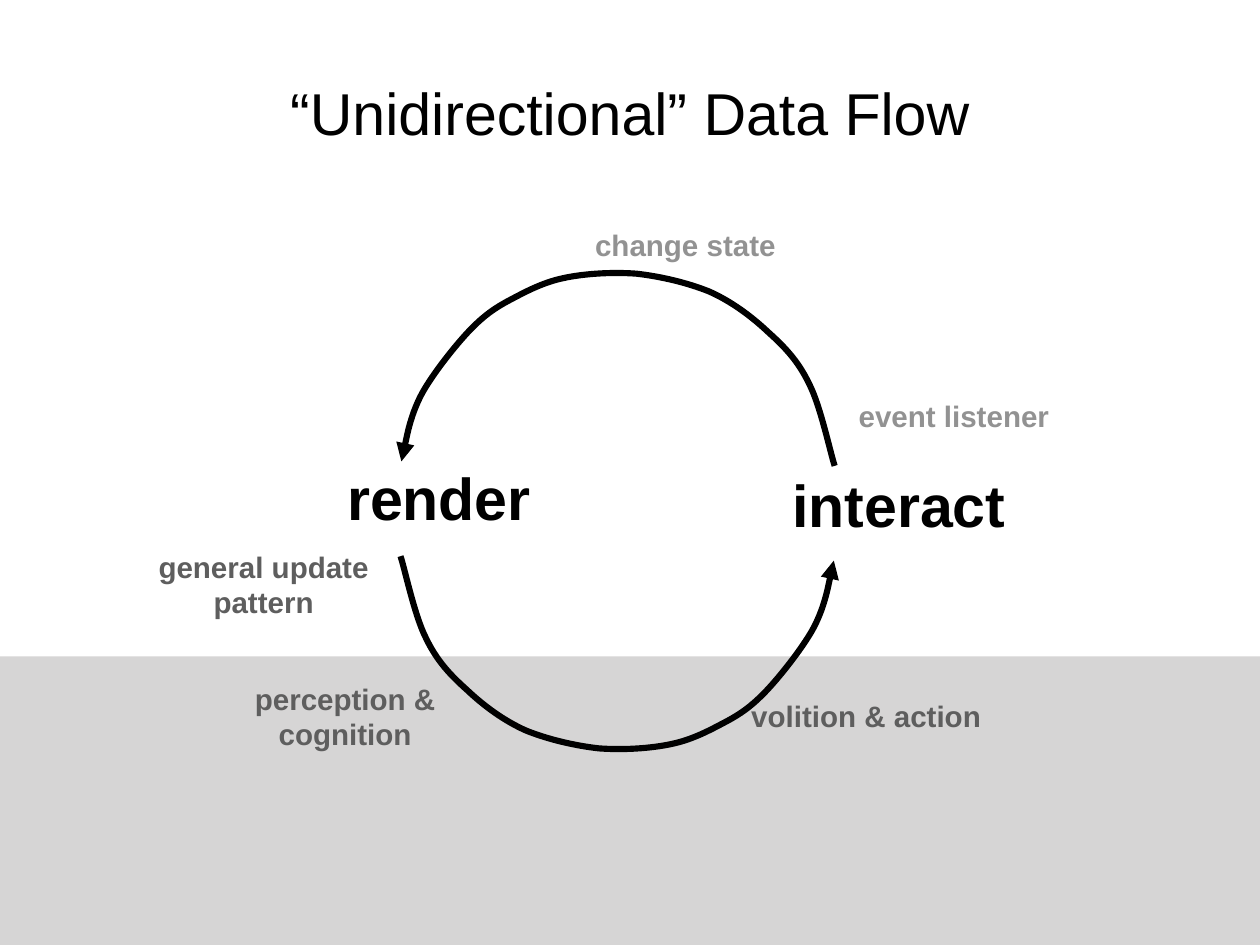
"""Build the slide on unidirectional data flow between render and interact."""
import pptx
import pptx.dml.color
import pptx.enum.shapes
import pptx.enum.text
import pptx.oxml
import pptx.oxml.ns
import pptx.util
from pptx.util import Inches

COLORS = {"ink": "000000", "code": "929292", "human": "5E5E5E", "band": "D6D5D5"}


def rgb(name):
    return pptx.dml.color.RGBColor.from_string(COLORS[name])


def write(box, text, size, color, bold, margin):
    frame = box.text_frame
    frame.word_wrap = True
    frame.auto_size = pptx.enum.text.MSO_AUTO_SIZE.NONE
    frame.vertical_anchor = pptx.enum.text.MSO_ANCHOR.MIDDLE
    frame.margin_left = frame.margin_right = Inches(margin)
    frame.margin_top = frame.margin_bottom = Inches(margin)
    paragraph = frame.paragraphs[0]
    paragraph.alignment = pptx.enum.text.PP_ALIGN.CENTER
    run = paragraph.add_run()
    run.text = text
    run.font.name = "Arial"
    run.font.size = pptx.util.Pt(size)
    run.font.bold = bold
    run.font.color.rgb = rgb(color)


deck = pptx.Presentation()
deck.slide_width, deck.slide_height = Inches(14.22), Inches(10.67)
slide = deck.slides.add_slide(deck.slide_layouts[5])

title = slide.shapes.title
title.left, title.top = Inches(2.45), Inches(0.71)
title.width, title.height = Inches(9.32), Inches(1.11)
write(title, "“Unidirectional” Data Flow", 48, "ink", False, 0.1)

human_side = slide.shapes.add_shape(
    pptx.enum.shapes.MSO_SHAPE.RECTANGLE,
    Inches(-0.19), Inches(7.41), Inches(14.6), Inches(3.38))
human_side.shadow.inherit = False
human_side.fill.solid()
human_side.fill.fore_color.rgb = rgb("band")
human_side.line.fill.background()

# Start point, then three points for each Bézier segment
upper_flow = [
    (9.42, 5.26),
    (9.37, 5.11), (9.26, 4.58), (9.13, 4.33),
    (9.01, 4.08), (8.86, 3.92), (8.67, 3.75),
    (8.48, 3.57), (8.25, 3.4), (8, 3.29),
    (7.75, 3.19), (7.45, 3.12), (7.18, 3.09),
    (6.9, 3.07), (6.59, 3.09), (6.36, 3.14),
    (6.12, 3.19), (5.92, 3.3), (5.75, 3.39),
    (5.58, 3.48), (5.47, 3.56), (5.33, 3.7),
    (5.19, 3.84), (5, 4.08), (4.89, 4.24),
    (4.78, 4.4), (4.73, 4.49), (4.67, 4.65),
    (4.61, 4.82), (4.55, 5.12), (4.53, 5.21),
]
lower_flow = [(13.94 - x, 11.54 - y) for x, y in upper_flow]

for flow in (upper_flow, lower_flow):
    start, *bends = [(Inches(x), Inches(y)) for x, y in flow]
    builder = slide.shapes.build_freeform(*start)
    builder.add_line_segments(bends, close=False)
    arc = builder.convert_to_shape()
    arc.shadow.inherit = False
    arc.fill.background()
    arc.line.color.rgb = rgb("ink")
    arc.line.width = pptx.util.Pt(5)

    segments = arc.element.findall(".//" + pptx.oxml.ns.qn("a:lnTo"))
    for first in range(0, len(segments), 3):
        curve = pptx.oxml.parse_xml(
            f"<a:cubicBezTo {pptx.oxml.ns.nsdecls('a')}/>")
        segments[first].addprevious(curve)
        for segment in segments[first:first + 3]:
            curve.append(segment[0])
            segment.getparent().remove(segment)

    arc.line._get_or_add_ln().append(pptx.oxml.parse_xml(
        f'<a:tailEnd {pptx.oxml.ns.nsdecls("a")} type="triangle"/>'))

labels = [
    ("render", 48, "ink", 3.64, 5.03, 2.63, 1.16),
    ("interact", 48, "ink", 8.52, 5.03, 3.25, 1.33),
    ("event listener", 24, "code", 9.2, 4.05, 3.13, 1.29),
    ("change state", 24, "code", 6.12, 2.4, 3.23, 0.72),
    ("perception & cognition", 24, "human", 2.28, 7.44, 3.23, 1.29),
    ("general update pattern", 24, "human", 1.41, 5.66, 3.13, 1.87),
    ("volition & action", 24, "human", 8.16, 7.44, 3.23, 1.29),
]
for text, size, color, *place in labels:
    label = slide.shapes.add_textbox(*map(Inches, place))
    write(label, text, size, color, True, 0.06)

deck.save("out.pptx")
